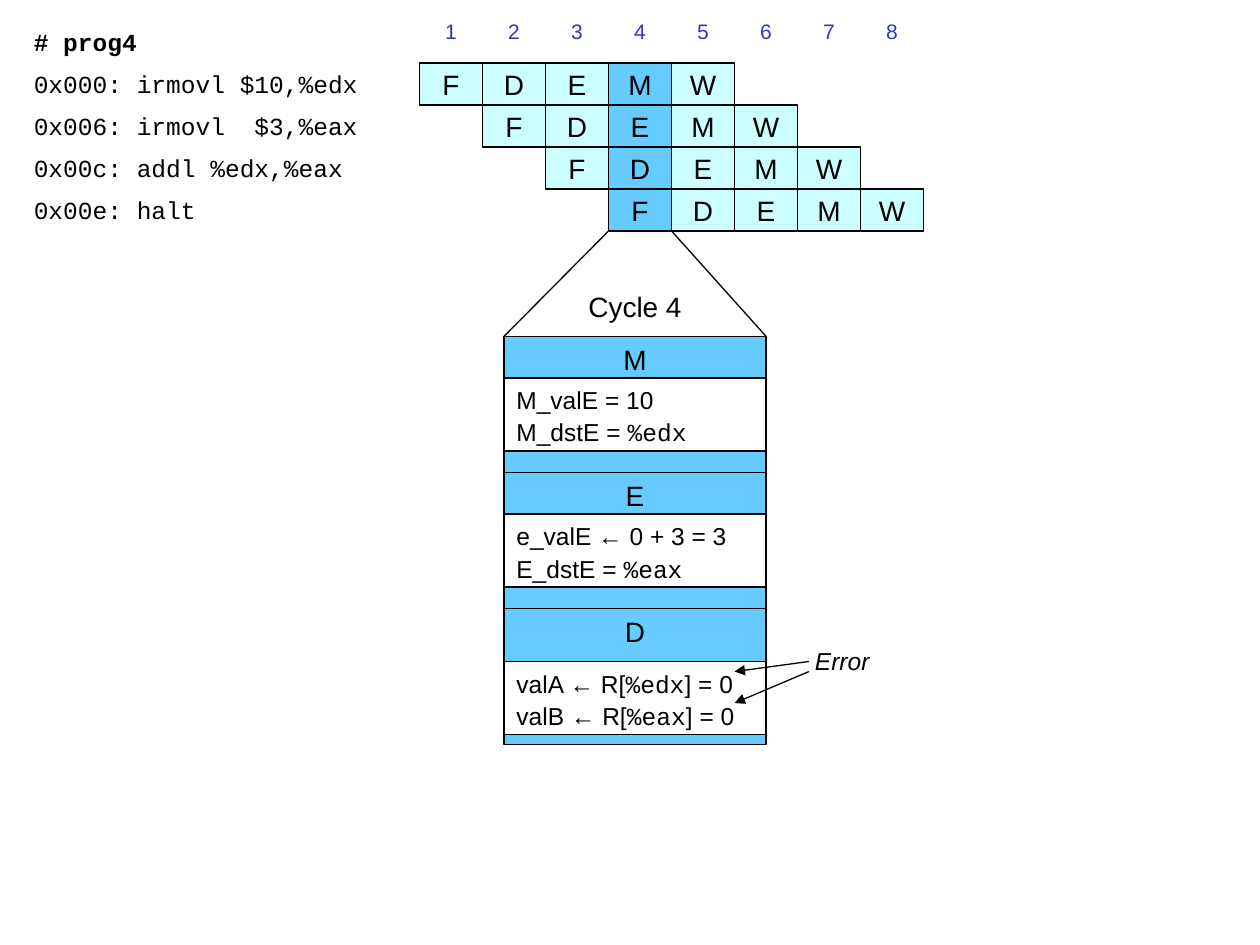
from dataclasses import dataclass

from lxml.etree import SubElement
from pptx import Presentation
from pptx.dml.color import RGBColor
from pptx.enum.shapes import MSO_CONNECTOR, MSO_SHAPE
from pptx.enum.text import MSO_ANCHOR, PP_ALIGN
from pptx.oxml.ns import qn
from pptx.util import Inches, Pt


@dataclass(frozen=True)
class Theme:
    black: RGBColor = RGBColor(0, 0, 0)
    white: RGBColor = RGBColor(255, 255, 255)
    cycle: RGBColor = RGBColor(0x33, 0x33, 0xCC)
    stage: RGBColor = RGBColor(0xCC, 0xFF, 0xFF)
    active: RGBColor = RGBColor(0x66, 0xCC, 0xFF)
    sans: str = "Arial"
    mono: str = "Courier New"
    small: int = 12
    body: int = 14
    label: int = 16


THEME = Theme()
STAGES = "FDEMW"
CYCLE_COUNT = 8
ACTIVE_CYCLE = 4
PROGRAM = [
    "0x000: irmovl $10,%edx",
    "0x006: irmovl  $3,%eax",
    "0x00c: addl %edx,%eax",
    "0x00e: halt",
]
# Bars separate register names, which are set in the code font.
PANELS = [
    ("M", 0.33, ["M_valE = 10", "M_dstE = |%edx"]),
    ("E", 0.33, ["e_valE ← 0 + 3 = 3", "E_dstE = |%eax"]),
    ("D", 0.42, ["valA ← R[|%edx|] = 0", "valB ← R[|%eax|] = 0"]),
]
GRID_LEFT, GRID_TOP = 3.33, 0.5
CELL_WIDTH, ROW_HEIGHT = 0.5, 1 / 3
PANEL_LEFT, PANEL_TOP = 4, 2.67
PANEL_WIDTH, PANEL_HEIGHT = 2.08, 1.08


def style_font(font, size, color=THEME.black, face=THEME.sans):
    font.size = Pt(size)
    font.color.rgb = color
    font.name = face


def add_box(slide, left, top, width, height, fill=THEME.white, line_width=None):
    box = slide.shapes.add_shape(
        MSO_SHAPE.RECTANGLE, Inches(left), Inches(top), Inches(width), Inches(height)
    )
    box.shadow.inherit = False
    box.fill.solid()
    box.fill.fore_color.rgb = fill
    if line_width:
        box.line.color.rgb = THEME.black
        box.line.width = Pt(line_width)
    else:
        box.line.fill.background()
    box.text_frame.word_wrap = False
    box.text_frame.vertical_anchor = MSO_ANCHOR.MIDDLE
    return box


def write_line(box, text, size, color=THEME.black, face=THEME.sans, align=PP_ALIGN.CENTER):
    paragraph = box.text_frame.paragraphs[0]
    paragraph.text = text
    paragraph.alignment = align
    style_font(paragraph.runs[0].font, size, color, face)
    return paragraph.runs[0].font


def add_label(slide, left, top, width, height, text, size, align):
    label = slide.shapes.add_textbox(
        Inches(left), Inches(top), Inches(width), Inches(height)
    )
    label.text_frame.word_wrap = align == PP_ALIGN.CENTER
    return write_line(label, text, size, align=align)


def add_line(slide, start, end, arrow=False):
    line = slide.shapes.add_connector(
        MSO_CONNECTOR.STRAIGHT, *(Inches(value) for value in (*start, *end))
    )
    line.line.color.rgb = THEME.black
    line.line.width = Pt(0.75)
    if arrow:
        SubElement(line.line._get_or_add_ln(), qn("a:tailEnd"), type="triangle")
    SubElement(line._element.spPr, qn("a:effectLst"))


def add_listing(slide):
    for row, code in enumerate(["# prog4", *PROGRAM]):
        box = add_box(slide, 0.17, GRID_TOP + (row - 1) * ROW_HEIGHT, 2.83, ROW_HEIGHT)
        font = write_line(box, code, THEME.body, face=THEME.mono, align=PP_ALIGN.LEFT)
        font.bold = row == 0


def add_pipeline(slide):
    for cycle in range(CYCLE_COUNT):
        left = GRID_LEFT + cycle * CELL_WIDTH
        number = add_box(slide, left, 0.08, CELL_WIDTH, ROW_HEIGHT)
        write_line(number, str(cycle + 1), THEME.small, THEME.cycle)
    for row in range(len(PROGRAM)):
        for cycle, stage in enumerate(STAGES, start=row):
            fill = THEME.active if cycle + 1 == ACTIVE_CYCLE else THEME.stage
            cell = add_box(
                slide, GRID_LEFT + cycle * CELL_WIDTH, GRID_TOP + row * ROW_HEIGHT,
                CELL_WIDTH, ROW_HEIGHT, fill, 1,
            )
            write_line(cell, stage, THEME.label)


def add_panel(slide, top, stage, header_height, values):
    panel = add_box(
        slide, PANEL_LEFT, top, PANEL_WIDTH, PANEL_HEIGHT, THEME.active, 0.75
    )
    panel.text_frame.vertical_anchor = MSO_ANCHOR.TOP
    write_line(panel, stage, THEME.label)
    state = add_box(
        slide, PANEL_LEFT, top + header_height, PANEL_WIDTH, 0.58, line_width=1
    )
    for index, value in enumerate(values):
        frame = state.text_frame
        paragraph = frame.add_paragraph() if index else frame.paragraphs[0]
        paragraph.alignment = PP_ALIGN.LEFT
        paragraph.line_spacing = 1.1
        for part, text in enumerate(value.split("|")):
            run = paragraph.add_run()
            run.text = text
            style_font(run.font, THEME.body, face=THEME.mono if part % 2 else THEME.sans)


def add_cycle_detail(slide):
    active_left = GRID_LEFT + (ACTIVE_CYCLE - 1) * CELL_WIDTH
    grid_bottom = GRID_TOP + len(PROGRAM) * ROW_HEIGHT
    add_line(slide, (active_left, grid_bottom), (PANEL_LEFT, PANEL_TOP))
    add_line(
        slide, (active_left + CELL_WIDTH, grid_bottom),
        (PANEL_LEFT + PANEL_WIDTH, PANEL_TOP),
    )
    add_label(
        slide, PANEL_LEFT, 2.25, PANEL_WIDTH, 0.37,
        f"Cycle {ACTIVE_CYCLE}", THEME.label, PP_ALIGN.CENTER,
    )
    for index, panel in enumerate(PANELS):
        add_panel(slide, PANEL_TOP + index * PANEL_HEIGHT, *panel)


def add_error_note(slide):
    font = add_label(
        slide, 6.37, 5.08, 0.63, 0.34, "Error", THEME.body, PP_ALIGN.LEFT
    )
    font.italic = True
    add_line(slide, (6.42, 5.25), (5.83, 5.33), arrow=True)
    add_line(slide, (6.42, 5.33), (5.83, 5.58), arrow=True)


def main():
    presentation = Presentation()
    presentation.slide_width = Inches(10)
    presentation.slide_height = Inches(7.5)
    slide = presentation.slides.add_slide(presentation.slide_layouts[6])
    add_listing(slide)
    add_pipeline(slide)
    add_cycle_detail(slide)
    add_error_note(slide)
    presentation.save("out.pptx")


if __name__ == "__main__":
    main()
